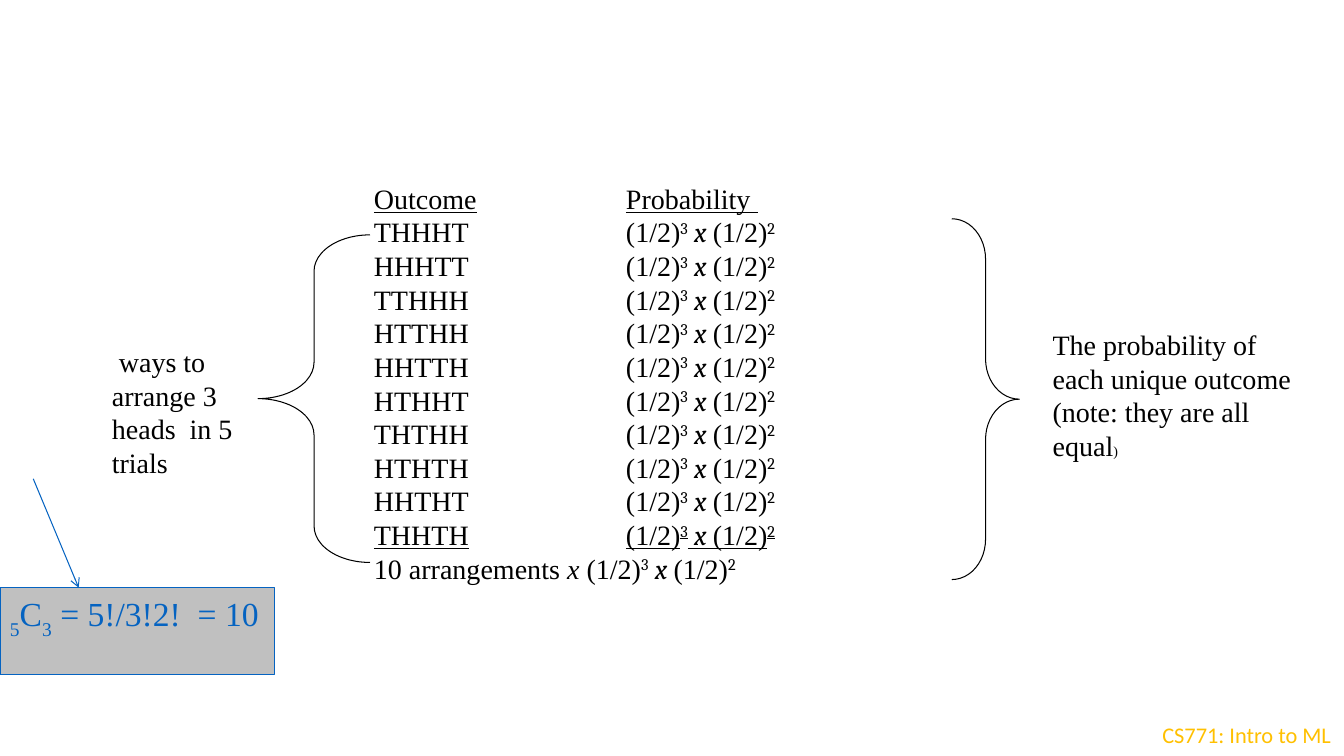
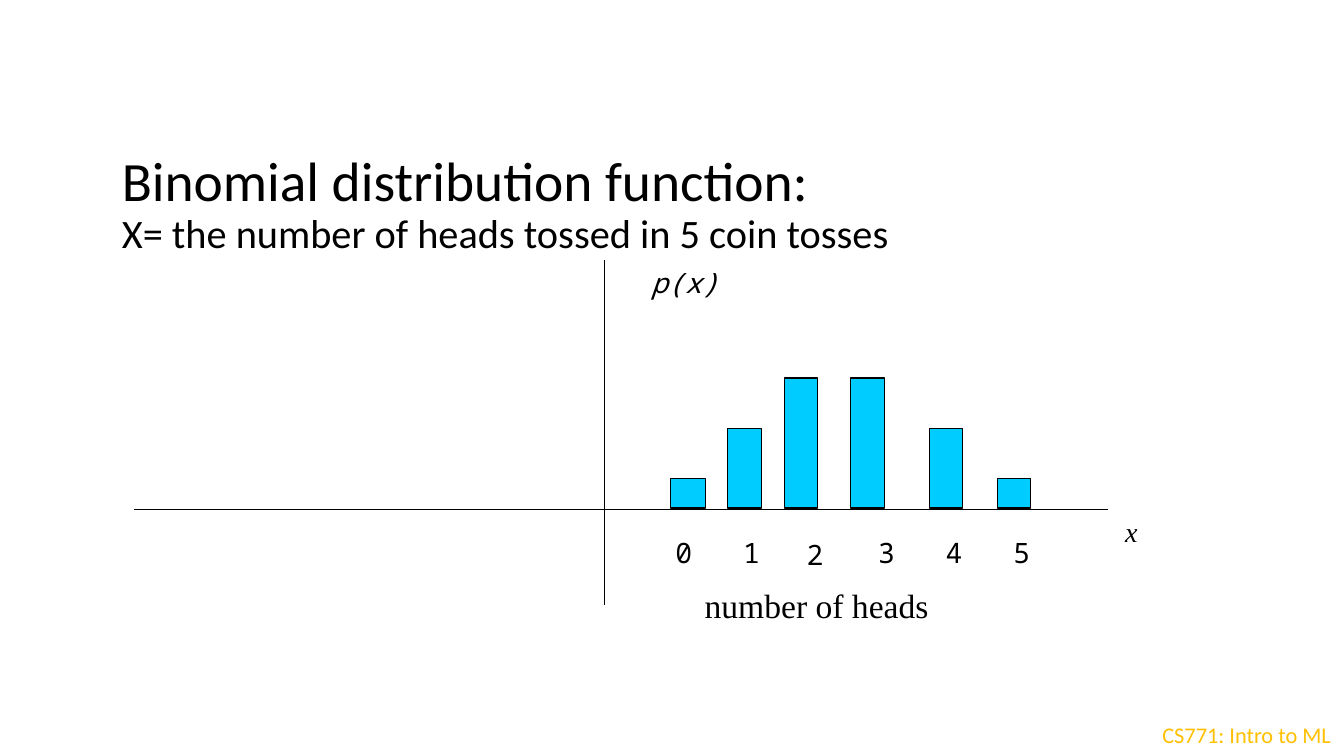
from dataclasses import dataclass
from typing import NamedTuple, Optional

from lxml import etree
from pptx import Presentation
from pptx import util as u
from pptx.dml.color import RGBColor
from pptx.enum import shapes, text
from pptx.oxml import ns


@dataclass(frozen=True)
class Theme:
    ink: str = "000000"
    accent: str = "0563C1"
    panel: str = "C0C0C0"
    bar: str = "00CCFF"
    footer: str = "FFC000"
    serif: str = "Times New Roman"
    math: str = "Cambria"
    mono: str = "Noto Sans Mono"
    sans: str = "Calibri"
    title_size: float = 39.6
    subtitle_size: float = 28.8
    large: float = 24
    body: float = 20
    small: float = 16
    tiny: float = 10
    line_width: float = 0.75


THEME = Theme()


class Box(NamedTuple):
    left: float
    top: float
    width: float
    height: float


class Run(NamedTuple):
    words: str
    font: str = THEME.serif
    size: float = THEME.body
    color: str = THEME.ink
    italic: bool = False
    underline: bool = False
    baseline: int = 0


class Brace(NamedTuple):
    kind: shapes.MSO_SHAPE
    box: Box
    curl: float


class Bar(NamedTuple):
    """One column of the distribution and the number of heads under it."""
    left: float
    height: float
    label_left: float
    label_top: float = 5.31
    width: float = 0.33


Paragraphs = list[list[Run]]

NO_INSET = (0, 0, 0, 0)
INSET = (0.1, 0.05, 0.1, 0.05)
OUTCOMES = ["THHHT", "HHHTT", "TTHHH", "HTTHH", "HHTTH",
            "HTHHT", "THTHH", "HTHTH", "HHTHT", "THHTH"]
FIRST_INDENT, PROBABILITY_TAB = 0.5, 3.0
BRACES = [
    Brace(shapes.MSO_SHAPE.LEFT_BRACE, Box(2.56, 2.33, 1.11, 3.25), 0.325),
    Brace(shapes.MSO_SHAPE.RIGHT_BRACE, Box(9.44, 2.17, 0.67, 3.58), 0.597),
]
BAR_BASE = 5.04
BARS = [
    Bar(6.65, 0.29, 6.7, width=0.35),
    Bar(7.22, 0.79, 7.37),
    Bar(7.78, 1.29, 8.0, 5.33),
    Bar(8.44, 1.29, 8.71),
    Bar(9.22, 0.79, 9.38),
    Bar(9.89, 0.29, 10.05),
]


def place(box: Box) -> list[u.Length]:
    return [u.Inches(value) for value in box]


def fill_text(frame, paragraphs: Paragraphs, inset=INSET, wrap: bool = True,
              anchor=text.MSO_ANCHOR.TOP, spacing: Optional[float] = None) -> None:
    sides = ("margin_left", "margin_top", "margin_right", "margin_bottom")
    frame_format = {"word_wrap": wrap, "vertical_anchor": anchor,
                    **{side: u.Inches(gap) for side, gap in zip(sides, inset)}}
    for name, value in frame_format.items():
        setattr(frame, name, value)
    for index, runs in enumerate(paragraphs):
        paragraph = frame.add_paragraph() if index else frame.paragraphs[0]
        paragraph.alignment = text.PP_ALIGN.LEFT
        paragraph.line_spacing = spacing
        for run in runs:
            piece = paragraph.add_run()
            piece.text = run.words
            font_format = {"name": run.font, "size": u.Pt(run.size),
                           "italic": run.italic, "underline": run.underline}
            for name, value in font_format.items():
                setattr(piece.font, name, value)
            piece.font.color.rgb = RGBColor.from_string(run.color)
            if run.baseline:
                piece.font._element.set("baseline", str(run.baseline * 1000))


def add_text(slide, box: Box, paragraphs: Paragraphs, **options):
    frame = slide.shapes.add_textbox(*place(box)).text_frame
    fill_text(frame, paragraphs, **options)
    return frame


def style_line(line, color: str) -> None:
    line.color.rgb = RGBColor.from_string(color)
    line.width = u.Pt(THEME.line_width)


def add_outline(slide, kind, box: Box, fill: Optional[str] = None,
                line: str = THEME.ink):
    shape = slide.shapes.add_shape(kind, *place(box))
    shape.shadow.inherit = False
    if fill:
        shape.fill.solid()
        shape.fill.fore_color.rgb = RGBColor.from_string(fill)
    else:
        shape.fill.background()
    style_line(shape.line, line)
    return shape


def add_line(slide, start: tuple[float, float], end: tuple[float, float],
             color: str = THEME.ink, arrow: bool = False) -> None:
    ends = [u.Inches(value) for value in (*start, *end)]
    connector = slide.shapes.add_connector(shapes.MSO_CONNECTOR.STRAIGHT, *ends)
    style_line(connector.line, color)
    if arrow:
        etree.SubElement(connector.line._get_or_add_ln(), ns.qn("a:tailEnd"),
                         type="arrow")
    etree.SubElement(connector._element.spPr, ns.qn("a:effectLst"))


def set_columns(paragraph) -> None:
    """Indent the outcome and make one tab reach its probability."""
    columns = {"indent": FIRST_INDENT, "defTabSz": PROBABILITY_TAB}
    for name, distance in columns.items():
        paragraph._p.get_or_add_pPr().set(name, str(u.Inches(distance)))


def probability(underline: bool = False) -> list[Run]:
    return [
        Run("(1/2)", underline=underline),
        Run("3", THEME.math, underline=underline, baseline=30),
        Run(" ", THEME.math, underline=underline),
        Run("x ", THEME.math, italic=True, underline=underline),
        Run("(1/2)", underline=underline),
        Run("2", THEME.math, underline=underline, baseline=30),
    ]


def new_slide(deck):
    """Add a blank slide with the course footer."""
    slide = deck.slides.add_slide(deck.slide_layouts[6])
    add_text(slide, Box(11.43, 7.11, 1.9, 0.37),
             [[Run("CS771: Intro to ML", THEME.sans, THEME.small, THEME.footer)]],
             wrap=False)
    return slide


def build_arrangements(deck) -> None:
    slide = new_slide(deck)
    rows = [[Run("Outcome\tProbability ", underline=True)]]
    for outcome in OUTCOMES:
        last = outcome == OUTCOMES[-1]
        rows.append([Run(f"{outcome}\t", underline=last), *probability(last)])
    rows.append([Run("10 arrangements "), Run("x", italic=True), Run(" "),
                 *probability()])
    outcomes = add_text(slide, Box(3.11, 1.75, 6.89, 4.1), rows)
    for paragraph in outcomes.paragraphs:
        set_columns(paragraph)

    add_text(slide, Box(10.44, 3.25, 2.56, 1.67),
             [[Run("The probability of each unique outcome  (note: they are all equal"),
               Run(")", size=THEME.tiny)]], inset=NO_INSET)
    add_text(slide, Box(1.11, 3.42, 1.53, 1.04),
             [[Run(" ways to arrange 3 heads  in 5 trials")]], inset=NO_INSET)
    for brace in BRACES:
        shape = add_outline(slide, brace.kind, brace.box)
        shape.adjustments[0] = brace.curl
        shape.adjustments[1] = 0.5

    formula = add_outline(slide, shapes.MSO_SHAPE.RECTANGLE,
                          Box(0, 5.83, 2.72, 0.86), THEME.panel, THEME.accent)
    parts = [("5", -30), ("C", 0), ("3", -30), (" = 5!/3!2!  = 10", 0)]
    fill_text(formula.text_frame,
              [[Run(words, size=THEME.large, color=THEME.accent, baseline=shift)
                for words, shift in parts]], wrap=False)
    add_line(slide, (0.33, 4.75), (0.78, 5.83), THEME.accent, arrow=True)


def build_distribution(deck) -> None:
    slide = new_slide(deck)
    add_text(slide, Box(1.11, 1.5, 10.99, 1.08),
             [[Run("Binomial distribution function:", THEME.sans, THEME.title_size)],
              [Run("X= the number of heads tossed in 5 coin tosses", THEME.sans,
                   THEME.subtitle_size)]],
             anchor=text.MSO_ANCHOR.MIDDLE, spacing=0.9)
    for heads, bar in enumerate(BARS):
        add_outline(slide, shapes.MSO_SHAPE.RECTANGLE,
                    Box(bar.left, BAR_BASE - bar.height, bar.width, bar.height),
                    THEME.bar)
        add_text(slide, Box(bar.label_left, bar.label_top, 0.3, 0.35),
                 [[Run(str(heads), THEME.mono)]], inset=NO_INSET)
    add_line(slide, (6, 2.58), (6, 6))
    add_line(slide, (1.33, 5.05), (10.99, 5.05))
    add_text(slide, Box(11.06, 5.05, 0.94, 0.62), [[Run("x", italic=True)]])
    add_text(slide, Box(6.36, 2.58, 1.59, 0.62),
             [[Run("p(x)", THEME.mono, italic=True)]])
    add_text(slide, Box(6.89, 5.75, 4.44, 0.45),
             [[Run("number of heads", size=THEME.large)]])


def main() -> None:
    deck = Presentation()
    deck.slide_width, deck.slide_height = u.Inches(13.33), u.Inches(7.5)
    build_arrangements(deck)
    build_distribution(deck)
    deck.save("out.pptx")


if __name__ == "__main__":
    main()
